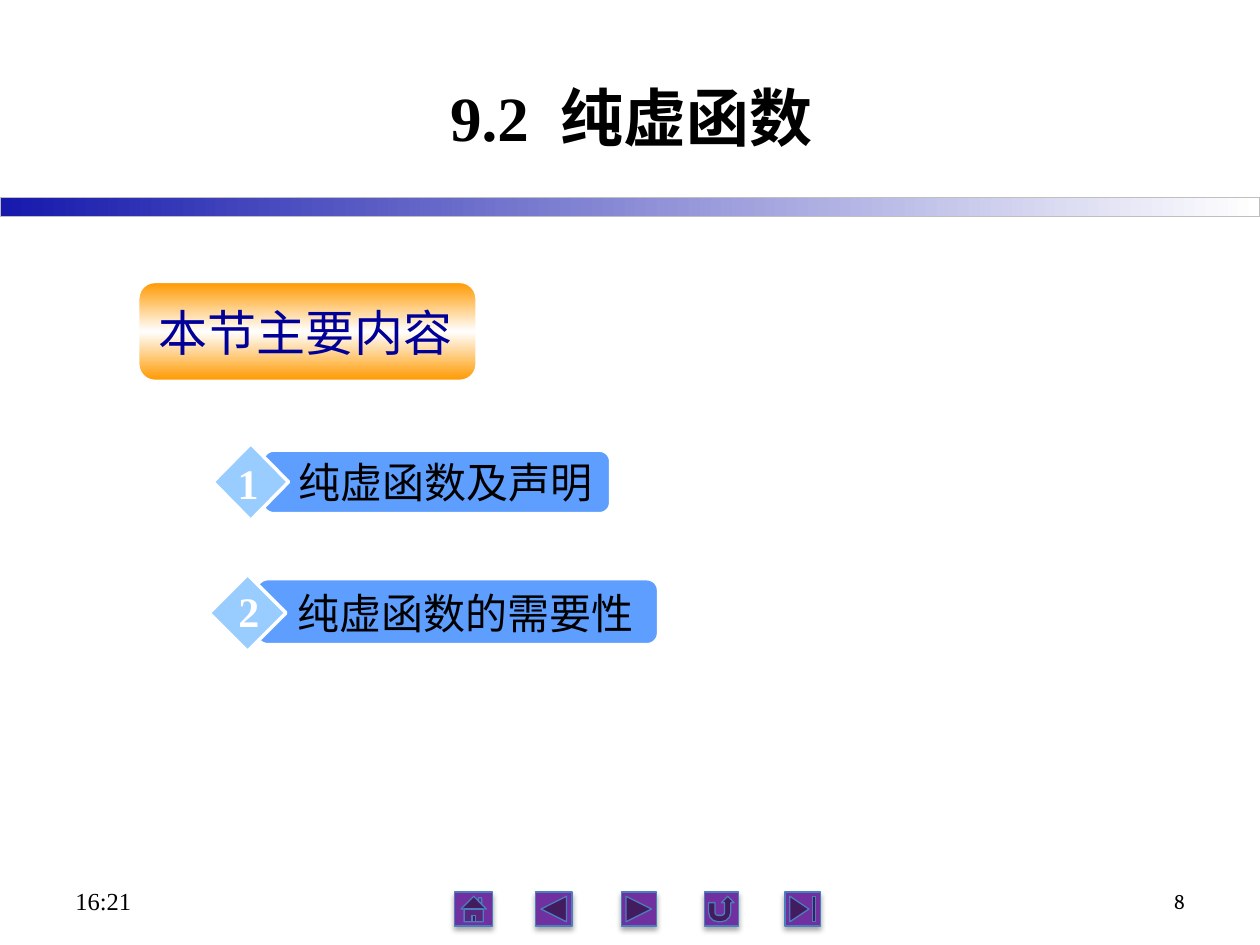
"""Build the section opener slide on pure virtual functions."""
from copy import deepcopy

from lxml.etree import SubElement
from pptx import Presentation
from pptx.dml.color import RGBColor
from pptx.enum.shapes import MSO_SHAPE as Shape
from pptx.enum.text import MSO_ANCHOR as Anchor, MSO_AUTO_SIZE as AutoSize, PP_ALIGN as Align
from pptx.oxml.ns import qn
from pptx.util import Inches, Pt

COLORS = {
    "black": "000000", "white": "FFFFFF", "navy": "000099", "bar": "1619AC",
    "gray": "BFBFBF", "orange": "FF9900", "blue": "5E9EFF", "sky": "99CCFF",
    "purple": "7030A0", "edge": "4B7EBC",
}
RGB = {name: RGBColor.from_string(value) for name, value in COLORS.items()}
SERIF, SANS, CJK = "Times New Roman", "Arial", "Noto Sans CJK SC"

deck = Presentation()
deck.slide_width, deck.slide_height = Inches(10), Inches(7.5)
page = deck.slides.add_slide(deck.slide_layouts[5])


def add_block(kind, place, fills, edge, width):
    """Add a preset shape with a solid fill or an even gradient."""
    block = page.shapes.add_shape(kind, *map(Inches, place))
    block.shadow.inherit = False
    block.line.color.rgb = RGB[edge]
    block.line.width = Pt(width)
    if len(fills) == 1:
        block.fill.solid()
        block.fill.fore_color.rgb = RGB[fills[0]]
        return block
    block.fill.gradient()
    stops = block._element.spPr.find(qn("a:gradFill")).find(qn("a:gsLst"))
    for _ in fills[2:]:
        stops.append(deepcopy(stops[0]))
    for index, (stop, name) in enumerate(zip(block.fill.gradient_stops, fills)):
        stop.position = index / (len(fills) - 1)
        stop.color.rgb = RGB[name]
    return block


def write(box, spans, size, color, align=Align.LEFT, bold=False, **frame_format):
    """Fill a text box with spans given as (text, font) pairs."""
    frame = box.text_frame
    for name, value in ({"word_wrap": True} | frame_format).items():
        setattr(frame, name, value)
    para = frame.paragraphs[0]
    para.alignment = align
    for text, font in spans:
        span = para.add_run()
        span.text = text
        for name, value in {"name": font, "size": Pt(size), "bold": bold}.items():
            setattr(span.font, name, value)
        span.font.color.rgb = RGB[color]
        SubElement(span._r.get_or_add_rPr(), qn("a:ea"), typeface=CJK)


add_block(Shape.RECTANGLE, (0, 1.57, 10, 0.15), ["bar", "white"], "gray", 0.75).fill.gradient_angle = 0

buttons = [
    (Shape.ACTION_BUTTON_HOME, 3.61, 0.3),
    (Shape.ACTION_BUTTON_BACK_OR_PREVIOUS, 4.25, 0.29),
    (Shape.ACTION_BUTTON_FORWARD_OR_NEXT, 4.93, 0.28),
    (Shape.ACTION_BUTTON_RETURN, 5.59, 0.27),
    (Shape.ACTION_BUTTON_END, 6.23, 0.28),
]
for kind, left, width in buttons:
    button = add_block(kind, (left, 7.08, width, 0.27), ["purple"], "edge", 0.75)
    effects = button._element.spPr.find(qn("a:effectLst"))
    shadow = SubElement(effects, qn("a:outerShdw"), blurRad=str(Pt(3.1)), dist=str(Pt(1.8)),
                        dir="5400000", rotWithShape="0")
    shade = SubElement(shadow, qn("a:srgbClr"), val=COLORS["black"])
    SubElement(shade, qn("a:alpha"), val="35000")

title = page.shapes.title
for name, value in {"left": 1.11, "top": 0.3, "width": 7.8, "height": 1.25}.items():
    setattr(title, name, Inches(value))
write(title, [("9.2  ", SERIF), ("纯虚函数", CJK)], 36, "black", Align.CENTER, True,
      vertical_anchor=Anchor.MIDDLE)

heading_block = add_block(Shape.ROUNDED_RECTANGLE, (1.1, 2.24, 2.68, 0.78),
                          ["orange", "white", "orange"], "white", 1)
heading_block.fill.gradient_angle = 90

grow = {"auto_size": AutoSize.SHAPE_TO_FIT_TEXT}
low_text = grow | {"margin_top": Inches(0.09), "margin_bottom": Inches(0.01)}
heading = page.shapes.add_textbox(*map(Inches, (1.16, 2.31, 2.56, 0.57)))
write(heading, [("本节主要内容", SANS)], 28, "navy", **low_text)

topics = [
    ("纯虚函数及声明", SANS, low_text, (2.09, 3.58, 2.75, 0.49), (1.69, 3.52, 0.6, 0.61),
     (2.27, 3.53, 2.56, 0.51), (1.74, 3.58, 0.46, 0.5)),
    ("纯虚函数的需要性", SERIF, grow, (2.04, 4.6, 3.18, 0.51), (1.66, 4.56, 0.61, 0.61),
     (2.26, 4.61, 2.88, 0.5), (1.79, 4.6, 0.37, 0.5)),
]
for number, (topic, font, layout, bar, diamond, label, digit) in enumerate(topics, 1):
    add_block(Shape.ROUNDED_RECTANGLE, bar, ["blue"], "white", 1)
    add_block(Shape.DIAMOND, diamond, ["sky"], "white", 2)
    label_box = page.shapes.add_textbox(*map(Inches, label))
    write(label_box, [(topic, font)], 24, "black", **layout)
    digit_box = page.shapes.add_textbox(*map(Inches, digit))
    write(digit_box, [(str(number), SERIF)], 24, "white", Align.CENTER, True,
          **grow | {"word_wrap": False})

footers = [
    ("16:21", SERIF, 14, 0.5, Align.LEFT),
    ("8", "Cambria", 12, 7.17, Align.RIGHT),
]
for text, font, size, left, align in footers:
    footer = page.shapes.add_textbox(*map(Inches, (left, 6.95, 2.33, 0.4)))
    write(footer, [(text, font)], size, "black", align, vertical_anchor=Anchor.MIDDLE)

deck.save("out.pptx")
